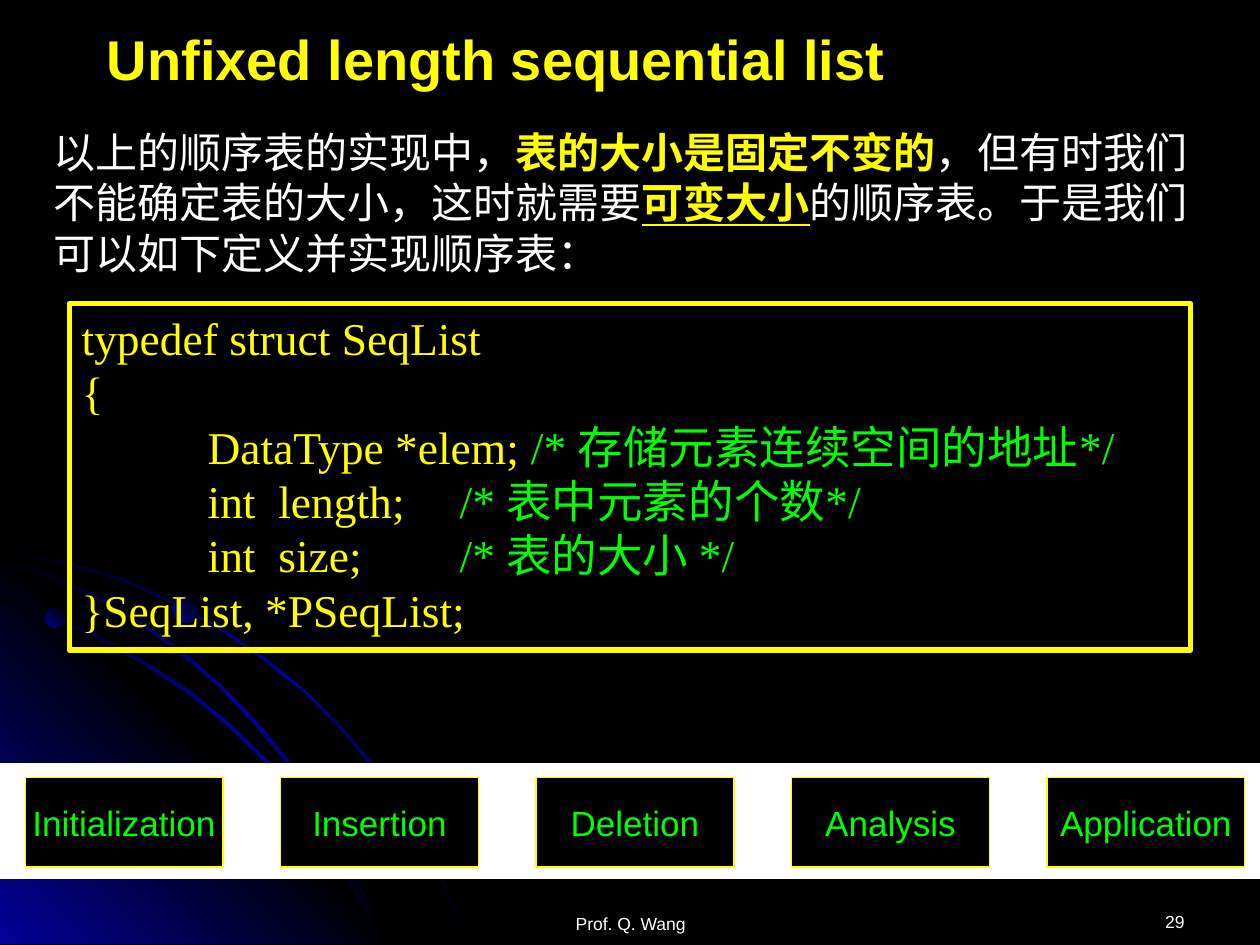
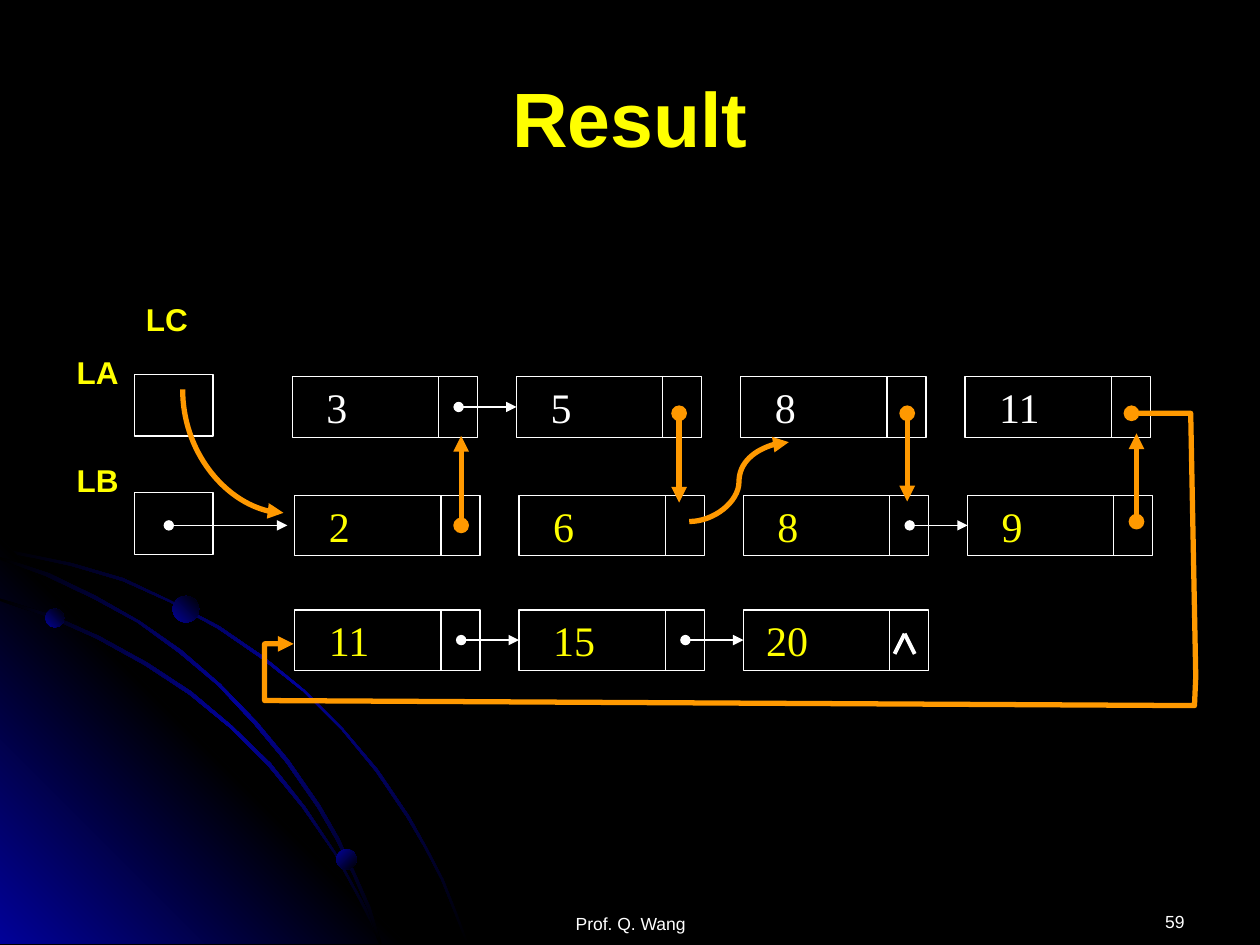
from dataclasses import dataclass, replace
from typing import NamedTuple

from lxml import etree
from pptx import Presentation
from pptx.dml.color import RGBColor
from pptx.enum.shapes import MSO_CONNECTOR, MSO_SHAPE
from pptx.enum.text import MSO_ANCHOR, PP_ALIGN
from pptx.oxml import parse_xml
from pptx.oxml.ns import nsdecls, qn
from pptx.util import Inches, Pt

STRAIGHT, CURVE = MSO_CONNECTOR.STRAIGHT, MSO_CONNECTOR.CURVE
RECTANGLE, OVAL = MSO_SHAPE.RECTANGLE, MSO_SHAPE.OVAL
BUTTON = MSO_SHAPE.ACTION_BUTTON_CUSTOM
TOP, MIDDLE = MSO_ANCHOR.TOP, MSO_ANCHOR.MIDDLE
LEFT, CENTER, RIGHT = PP_ALIGN.LEFT, PP_ALIGN.CENTER, PP_ALIGN.RIGHT

BLACK, WHITE, YELLOW = "000000", "FFFFFF", "FFFF00"
GREEN, ORANGE, BLUE = "00FF00", "FF9900", "010199"
SANS, SERIF = "Arial", "Times New Roman"
THIN, THICK = 0.75, 3


class Area(NamedTuple):
    left: float
    top: float
    width: float
    height: float


class Span(NamedTuple):
    text: str
    color: str | None = None
    bold: bool | None = None
    underline: bool | None = None


@dataclass(frozen=True)
class TextStyle:
    font: str
    size: float
    color: str
    bold: bool = False
    align: PP_ALIGN = LEFT
    line_points: float | None = None
    tabs: tuple[float, ...] = ()


@dataclass(frozen=True)
class Gradient:
    colors: tuple[str, ...]
    angle: int


class NodeRow(NamedTuple):
    left: float
    top: float
    values: tuple[str, ...]
    color: str
    linked: tuple[int, ...]  # nodes with a white arrow to the next one


TITLE = TextStyle(SANS, 32, YELLOW, bold=True)
FOOTER = TextStyle(SANS, 10, WHITE, align=CENTER)
BODY = TextStyle(SERIF, 24, WHITE, line_points=28.9)
CODE = TextStyle(SERIF, 26, YELLOW, line_points=31.1, tabs=(1, 3))
BUTTON_TEXT = TextStyle(SANS, 20, GREEN, align=CENTER)
LABEL = TextStyle(SANS, 18, YELLOW, bold=True)

ARC_GLOW = Gradient((BLACK, BLUE, BLACK), 45)
CORNER_GLOW = Gradient((BLUE, BLACK, BLUE), 315)
DOT_GLOW = Gradient((BLUE, BLACK), 315)

OUTER_ARC = (
    (0.57, 4.47), (0.28, 4.41), (0, 4.35), (0, 4.38), (0.28, 4.43), (0.56, 4.49),
    (0.97, 4.61), (1.35, 4.78), (1.73, 4.99), (2.08, 5.23), (2.41, 5.49), (2.71, 5.79),
    (2.98, 6.12), (3.23, 6.49), (3.37, 6.73), (3.5, 6.98), (3.6, 7.23), (3.7, 7.49),
    (3.72, 7.49), (3.62, 7.23), (3.52, 6.98), (3.39, 6.73), (3.25, 6.48), (3, 6.11),
    (2.72, 5.78), (2.42, 5.48), (2.09, 5.21), (1.74, 4.97), (1.36, 4.77), (0.98, 4.59))
INNER_ARC = (
    (2.85, 7.14), (2.94, 7.32), (3.01, 7.49), (3.03, 7.49), (2.96, 7.3), (2.86, 7.12),
    (2.66, 6.76), (2.42, 6.4), (2.15, 6.06), (1.84, 5.76), (1.52, 5.49), (1.17, 5.26),
    (0.79, 5.05), (0.41, 4.88), (0, 4.75), (0, 4.77), (0.39, 4.9), (0.77, 5.07),
    (1.15, 5.28), (1.5, 5.51), (1.83, 5.78), (2.13, 6.08), (2.4, 6.41), (2.65, 6.77))
MIDDLE_ARC = (
    (0, 4.42), (0, 4.44), (0.36, 4.57), (0.74, 4.75), (1.09, 4.94), (1.42, 5.18),
    (1.73, 5.44), (2.02, 5.75), (2.27, 6.05), (2.52, 6.41), (2.67, 6.67), (2.8, 6.94),
    (2.92, 7.22), (3.01, 7.49), (3.03, 7.49), (2.94, 7.2), (2.82, 6.93), (2.69, 6.65),
    (2.54, 6.39), (2.29, 6.03), (2.04, 5.73), (1.75, 5.43), (1.44, 5.16), (1.11, 4.93),
    (0.76, 4.73), (0.39, 4.55))
CORNER = ((3.22, 7.49), (0, 7.49), (0, 4.27))

NODE_STEP, NODE_WIDTH, NODE_HEIGHT = 1.78, 1.47, 0.48
DIVIDER_OFFSET, LINK_OFFSET = 1.16, 1.32
NODE_ROWS = (
    NodeRow(2.32, 2.99, ("3", "5", "8", "11"), WHITE, (0,)),
    NodeRow(2.34, 3.93, ("2", "6", "8", "9"), YELLOW, (2,)),
    NodeRow(2.34, 4.84, ("11", "15", "20"), YELLOW, (0, 1)),
)
RELINKS = (
    ((5.39, 3.28), (5.39, 3.99)),
    ((3.66, 4.17), (3.66, 3.46)),
    ((7.2, 3.28), (7.2, 3.98)),
    ((9.02, 4.14), (9.02, 3.44)),
)
RETURN_ROUTE = ((8.98, 3.28), (9.45, 3.28), (9.49, 5.37), (9.48, 5.6),
                (2.1, 5.56), (2.1, 5.11), (2.33, 5.11))


def rgb(color: str) -> RGBColor:
    return RGBColor.from_string(color)


def write(frame, lines: list[list[Span]], style: TextStyle) -> None:
    for index, spans in enumerate(lines):
        para = frame.paragraphs[0] if index == 0 else frame.add_paragraph()
        para.alignment = style.align
        if style.line_points:
            para.line_spacing = Pt(style.line_points)
        if style.tabs:
            tab_list = etree.SubElement(para._p.get_or_add_pPr(), qn("a:tabLst"))
            for stop in style.tabs:
                etree.SubElement(tab_list, qn("a:tab"), pos=str(Inches(stop)), algn="l")
        para.font.name = style.font
        para.font.size = Pt(style.size)
        para.font.bold = style.bold
        para.font.color.rgb = rgb(style.color)
        for span in spans:
            run = para.add_run()
            run.text = span.text
            if span.color:
                run.font.color.rgb = rgb(span.color)
            if span.bold:
                run.font.bold = True
            if span.underline:
                run.font.underline = True


def add_text(page, area: Area, lines: list[list[Span]], style: TextStyle,
             anchor: MSO_ANCHOR = TOP, wrap: bool = True) -> None:
    frame = page.shapes.add_textbox(*map(Inches, area)).text_frame
    frame.word_wrap = wrap
    frame.vertical_anchor = anchor
    write(frame, lines, style)


def paint(shape, fill: str | Gradient | None, line: str | None, width: float = THIN) -> None:
    shape.shadow.inherit = False
    if isinstance(fill, Gradient):
        shape.fill.gradient()
        last = len(fill.colors) - 1
        stops = "".join(
            f'<a:gs pos="{100000 * index // last}"><a:srgbClr val="{color}"/></a:gs>'
            for index, color in enumerate(fill.colors))
        properties = shape._element.spPr
        properties.replace(properties.find(qn("a:gradFill")), parse_xml(
            f'<a:gradFill {nsdecls("a")} rotWithShape="1"><a:gsLst>{stops}</a:gsLst>'
            f'<a:lin ang="{fill.angle * 60000}" scaled="0"/></a:gradFill>'))
    elif fill:
        shape.fill.solid()
        shape.fill.fore_color.rgb = rgb(fill)
    else:
        shape.fill.background()
    if line:
        shape.line.color.rgb = rgb(line)
        shape.line.width = Pt(width)
    else:
        shape.line.fill.background()


def add_box(page, kind: MSO_SHAPE, area: Area, fill: str | Gradient | None = None,
            line: str | None = WHITE, width: float = THIN):
    box = page.shapes.add_shape(kind, *map(Inches, area))
    paint(box, fill, line, width)
    return box


def add_outline(page, points, closed: bool = True):
    corners = [(Inches(x), Inches(y)) for x, y in points]
    builder = page.shapes.build_freeform(*corners[0])
    builder.add_line_segments(corners[1:], close=closed)
    return builder.convert_to_shape()


def add_heads(shape, head: str | None, tail: str | None) -> None:
    line = shape._element.spPr.find(qn("a:ln"))
    for tag, kind in (("a:headEnd", head), ("a:tailEnd", tail)):
        if kind:
            etree.SubElement(line, qn(tag), type=kind)


def add_line(page, start, end, color: str = WHITE, width: float = THIN,
             head: str | None = None, tail: str | None = None, kind: MSO_CONNECTOR = STRAIGHT):
    line = page.shapes.add_connector(kind, *map(Inches, (*start, *end)))
    line.line.color.rgb = rgb(color)
    line.line.width = Pt(width)
    add_heads(line, head, tail)
    etree.SubElement(line._element.spPr, qn("a:effectLst"))
    return line


def add_pointer(page, start, end, color: str = WHITE, width: float = THIN):
    return add_line(page, start, end, color, width, "oval", "triangle")


def add_page(deck, number: int, title: str, title_area: Area, title_style: TextStyle):
    """Add a page with the shared background, title and footers."""
    page = deck.slides.add_slide(deck.slide_layouts[6])
    page.background.fill.solid()
    page.background.fill.fore_color.rgb = rgb(BLACK)
    for points, glow in ((OUTER_ARC, ARC_GLOW), (CORNER, CORNER_GLOW),
                         (INNER_ARC, ARC_GLOW), (MIDDLE_ARC, ARC_GLOW)):
        paint(add_outline(page, points), glow, None)
    for left, top, size in ((0.36, 4.83, 0.15), (1.37, 4.73, 0.21)):
        add_box(page, OVAL, Area(left, top, size, size), DOT_GLOW, None)
    add_text(page, Area(7.17, 7.18, 2.33, 0.3), [[Span(str(number))]],
             replace(FOOTER, align=RIGHT))
    add_text(page, Area(3.42, 7.2, 3.17, 0.3), [[Span("Prof. Q. Wang")]], FOOTER)
    add_text(page, title_area, [[Span(title)]], title_style, MIDDLE)
    return page


def build_list_page(deck) -> None:
    page = add_page(deck, 29, "Unfixed length sequential list",
                    Area(0.75, 0, 8.5, 0.92), TITLE)
    add_text(page, Area(0.33, 0.95, 9.42, 1.3), [[
        Span("以上的顺序表的实现中，"),
        Span("表的大小是固定不变的", YELLOW, bold=True),
        Span("，但有时我们不能确定表的大小，这时就需要"),
        Span("可变大小", YELLOW, bold=True, underline=True),
        Span("的顺序表。于是我们可以如下定义并实现顺序表："),
    ]], BODY)

    code_box = add_box(page, RECTANGLE, Area(0.55, 2.41, 8.9, 2.75), line=YELLOW, width=THICK)
    code_box.text_frame.vertical_anchor = TOP
    write(code_box.text_frame, [
        [Span("typedef struct SeqList")],
        [Span("{")],
        [Span("\tDataType *elem; "), Span("/* 存储元素连续空间的地址*/", GREEN)],
        [Span("\tint  length;\t"), Span("/* 表中元素的个数*/", GREEN)],
        [Span("\tint  size;\t"), Span("/* 表的大小 */", GREEN)],
        [Span("}SeqList, *PSeqList;")],
    ], CODE)

    add_box(page, RECTANGLE, Area(0, 6.06, 10, 0.91), WHITE)
    topics = ("Initialization", "Insertion", "Deletion", "Analysis", "Application")
    first_left, last_left = 0.2, 8.31
    step = (last_left - first_left) / (len(topics) - 1)
    for index, topic in enumerate(topics):
        button = add_box(page, BUTTON, Area(first_left + index * step, 6.17, 1.57, 0.71),
                         BLACK, YELLOW)
        button.text_frame.word_wrap = False
        button.text_frame.vertical_anchor = MIDDLE
        write(button.text_frame, [[Span(topic)]], BUTTON_TEXT)


def add_node_row(page, row: NodeRow) -> None:
    nodes = []
    lefts = [row.left + index * NODE_STEP for index in range(len(row.values))]
    for left, value in zip(lefts, row.values):
        node = add_box(page, RECTANGLE, Area(left, row.top, NODE_WIDTH, NODE_HEIGHT))
        node.text_frame.margin_left = Inches(0.18 if value == "20" else 0.27)
        node.text_frame.vertical_anchor = MIDDLE
        write(node.text_frame, [[Span(value)]], TextStyle(SERIF, 24, row.color))
        divider = left + DIVIDER_OFFSET
        add_line(page, (divider, row.top), (divider, row.top + NODE_HEIGHT))
        nodes.append(node)
    middle = row.top + NODE_HEIGHT / 2
    for index in row.linked:
        link = add_pointer(page, (lefts[index] + LINK_OFFSET, middle), (lefts[index + 1], middle))
        link.end_connect(nodes[index + 1], 1)


def build_result_page(deck) -> None:
    page = add_page(deck, 59, "Result", Area(0.5, 0.3, 9, 1.25),
                    replace(TITLE, size=44, align=CENTER))
    add_box(page, OVAL, Area(2.67, 6.74, 0.16, 0.16), replace(DOT_GLOW, angle=45), None)
    for row in NODE_ROWS:
        add_node_row(page, row)
    for top in (2.97, 3.91):
        add_box(page, RECTANGLE, Area(1.07, top, 0.62, 0.49))
    for name, left, top in (("LA", 0.51, 2.75), ("LB", 0.51, 3.61), ("LC", 1.06, 2.33)):
        add_text(page, Area(left, top, 0.53, 0.4), [[Span(name)]], LABEL, wrap=False)
    add_pointer(page, (1.34, 4.17), (2.28, 4.17))
    for foot in (7.1, 7.26):
        add_line(page, (foot, 5.19), (7.18, 5.03), width=2.25)

    for start, end in RELINKS:
        add_pointer(page, start, end, ORANGE, THICK)
    route = add_outline(page, RETURN_ROUTE, closed=False)
    paint(route, None, ORANGE, THICK)
    add_heads(route, "oval", "triangle")
    add_line(page, (5.47, 4.14), (6.26, 3.51), ORANGE, THICK, tail="triangle", kind=CURVE)
    # A quarter bend that leaves downwards: mirrored, then turned by 270 degrees
    bend = add_line(page, (2.34, 3.18), (1.36, 3.98), ORANGE, THICK, tail="triangle", kind=CURVE)
    properties = bend._element.spPr
    properties.find(qn("a:xfrm")).set("rot", str(270 * 60000))
    properties.find(qn("a:prstGeom")).set("prst", "curvedConnector2")


def main() -> None:
    deck = Presentation()
    deck.slide_width, deck.slide_height = Inches(10), Inches(7.5)
    build_list_page(deck)
    build_result_page(deck)
    deck.save("out.pptx")


if __name__ == "__main__":
    main()
